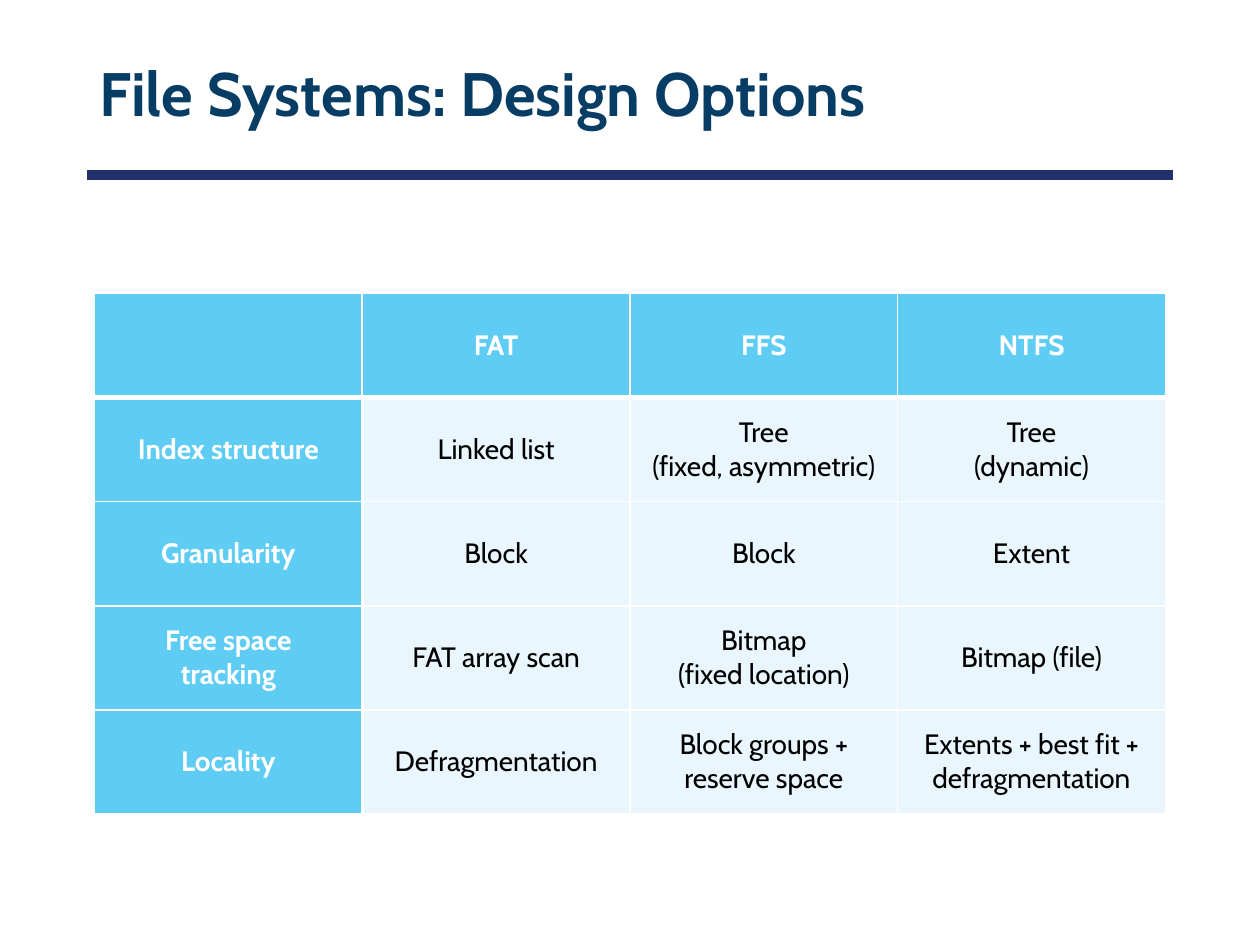
"""Build the file system design options slide."""
import pptx
import pptx.dml.color
import pptx.enum.shapes
import pptx.enum.text
import pptx.oxml
import pptx.oxml.ns
import pptx.util
from pptx.util import Inches

ROWS = [
    ["", "FAT", "FFS", "NTFS"],
    ["Index structure", "Linked list", "Tree\n(fixed, asymmetric)", "Tree\n(dynamic)"],
    ["Granularity", "Block", "Block", "Extent"],
    ["Free space\ntracking", "FAT array scan", "Bitmap\n(fixed location)", "Bitmap (file)"],
    ["Locality", "Defragmentation", "Block groups + reserve space",
     "Extents + best fit +\ndefragmentation"],
]


def color(value):
    return pptx.dml.color.RGBColor.from_string(value)


def write_text(frame, text, *, size, fill, font="Cabin", bold=False, align="LEFT", spacing=1.0):
    frame.text = text
    for paragraph in frame.paragraphs:
        paragraph.alignment = getattr(pptx.enum.text.PP_ALIGN, align)
        paragraph.line_spacing = spacing
        paragraph.font.name = font
        paragraph.font.size = pptx.util.Pt(size)
        paragraph.font.bold = bold
        paragraph.font.color.rgb = color(fill)


class SlideBuilder:
    navy = "21306A"
    title_blue = "073C65"
    header_blue = "5ECCF3"
    pale_blue = "EAF6FD"
    white = "FFFFFF"
    black = "000000"

    def __init__(self, presentation):
        self.slide = presentation.slides.add_slide(presentation.slide_layouts[5])

    def rule(self, left, right, y):
        connector = self.slide.shapes.add_connector(
            pptx.enum.shapes.MSO_CONNECTOR.STRAIGHT,
            Inches(left), Inches(y), Inches(right), Inches(y))
        connector.line.color.rgb = color(self.navy)
        connector.line.width = pptx.util.Pt(6)
        connector._element.spPr.append(pptx.oxml.parse_xml(
            f"<a:effectLst {pptx.oxml.ns.nsdecls('a')}/>"))

    def title(self, text, left, top, width, height):
        title = self.slide.shapes.title
        title.left, title.top = Inches(left), Inches(top)
        title.width, title.height = Inches(width), Inches(height)
        frame = title.text_frame
        frame.auto_size = pptx.enum.text.MSO_AUTO_SIZE.NONE
        frame.vertical_anchor = pptx.enum.text.MSO_ANCHOR.MIDDLE
        write_text(frame, text, size=35, fill=self.title_blue, bold=True, spacing=0.9)

    def borders(self, cell, **widths):
        properties = cell._tc.get_or_add_tcPr()
        for side in "LRTB":
            width = pptx.util.Pt(widths.get(side, 1))
            properties.append(pptx.oxml.parse_xml(
                f"<a:ln{side} {pptx.oxml.ns.nsdecls('a')} w='{width}'>"
                f"<a:solidFill><a:srgbClr val='{self.white}'/></a:solidFill></a:ln{side}>"))

    def table(self, rows, left, top, width, height):
        table = self.slide.shapes.add_table(
            len(rows), len(rows[0]), Inches(left), Inches(top),
            Inches(width), Inches(height)).table
        for row_index, row in enumerate(rows):
            for column_index, text in enumerate(row):
                cell = table.cell(row_index, column_index)
                heading = row_index == 0 or column_index == 0
                body_row = row_index > 0
                self.borders(
                    cell,
                    R=2.25 if body_row and column_index == 0 else 1,
                    L=2.25 if body_row and column_index == 1 else 1,
                    T=3 if row_index == 1 else 1,
                    B=1 if body_row else 3)
                cell.fill.solid()
                cell.fill.fore_color.rgb = color(
                    self.header_blue if heading else self.pale_blue)
                cell.vertical_anchor = pptx.enum.text.MSO_ANCHOR.MIDDLE
                write_text(cell.text_frame, text, size=16, bold=heading, align="CENTER",
                           fill=self.white if heading else self.black)


def main():
    presentation = pptx.Presentation()
    presentation.slide_width, presentation.slide_height = Inches(10), Inches(7.5)
    builder = SlideBuilder(presentation)
    builder.rule(0.69, 9.31, 1.39)
    builder.title("File Systems: Design Options", 0.69, 0.23, 8.62, 1.08)
    builder.table(ROWS, 0.75, 2.33, 8.5, 4.13)
    presentation.save("out.pptx")


if __name__ == "__main__":
    main()
